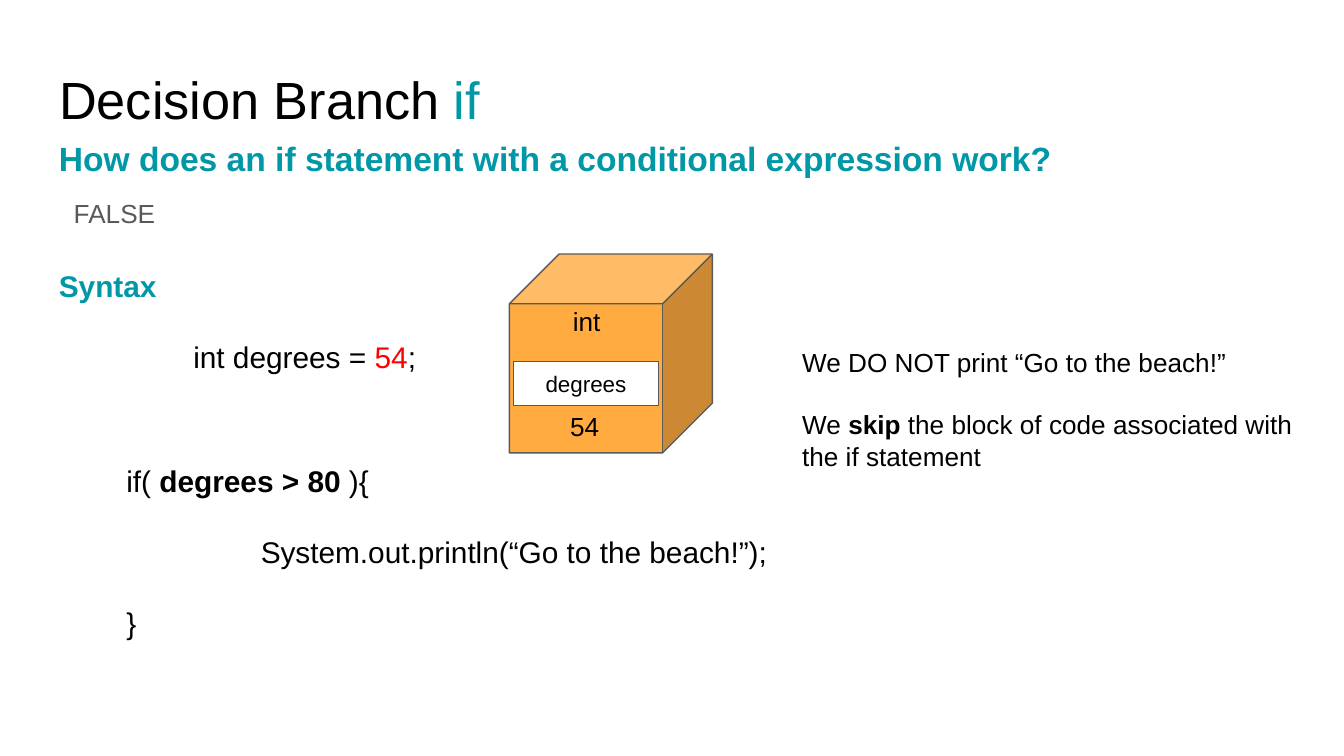
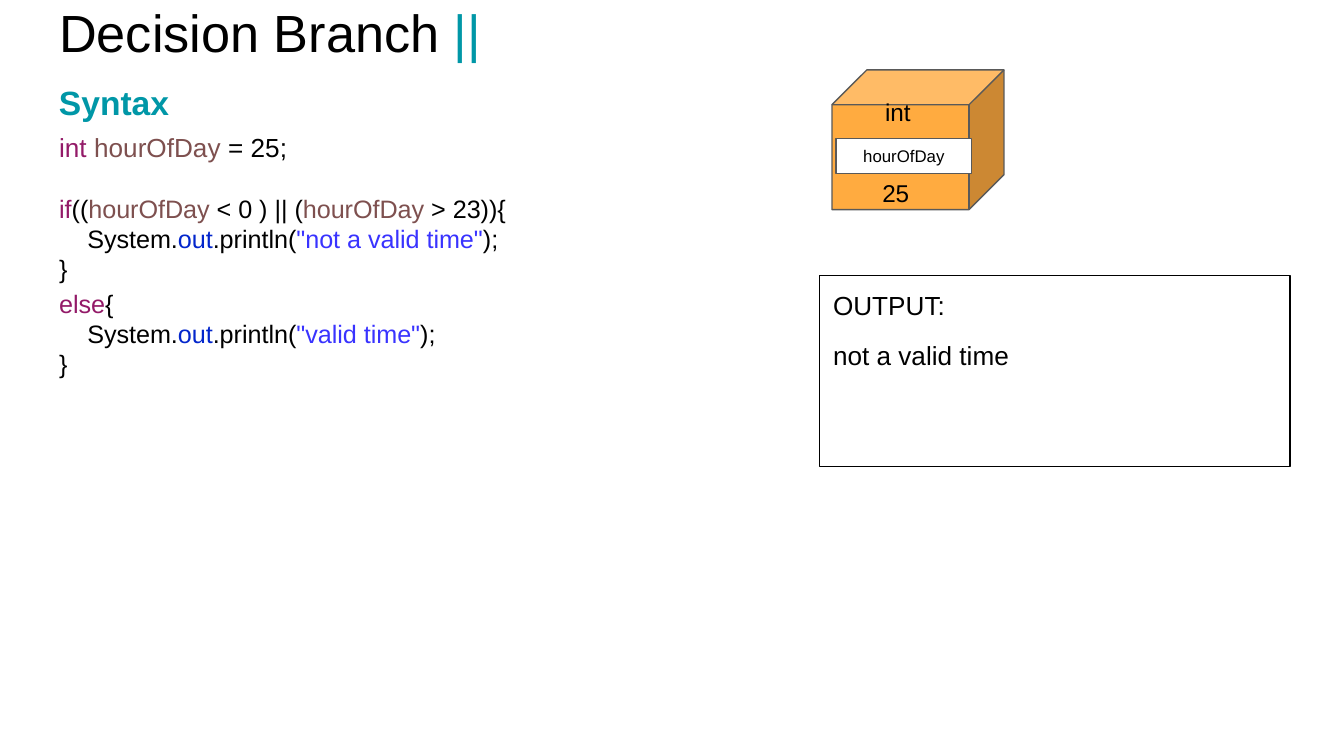
from dataclasses import dataclass
from pptx import Presentation
from pptx.dml.color import RGBColor
from pptx.enum.shapes import MSO_SHAPE
from pptx.enum.text import MSO_ANCHOR, MSO_AUTO_SIZE, PP_ALIGN
from pptx.util import Inches, Pt
from lxml.etree import SubElement
from pptx.oxml.ns import qn


@dataclass(frozen=True)
class Theme:
    font: str = "Arial"
    black: str = "000000"
    white: str = "FFFFFF"
    teal: str = "0097A7"
    grey: str = "595959"
    red: str = "FF0000"
    orange: str = "FFAB40"
    keyword: str = "931A68"
    variable: str = "7E504F"
    field: str = "0326CC"
    string: str = "3933FF"
    title: float = 28
    heading: float = 18
    code: float = 16
    text: float = 14
    small_code: float = 13.5
    small: float = 13
    line: float = 0.75


T = Theme()
prs = Presentation()
prs.slide_width, prs.slide_height = Inches(10), Inches(5.625)
CELL = prs.slide_width / 100
LEFT = 3.4


def place(sp, at, fill=None, line=None):
    sp.left, sp.top, sp.width, sp.height = [round(n * CELL) for n in at]
    if fill or line:
        sp.shadow.inherit = False
        sp.line.color.rgb = RGBColor.from_string(line)
        sp.line.width = Pt(T.line)
        if fill:
            sp.fill.solid()
            sp.fill.fore_color.rgb = RGBColor.from_string(fill)
        else:
            sp.fill.background()
    return sp


def write(sp, size, paragraphs, align=PP_ALIGN.LEFT, anchor=MSO_ANCHOR.TOP):
    tf = sp.text_frame
    tf.word_wrap = True
    tf.auto_size = MSO_AUTO_SIZE.NONE
    tf.vertical_anchor = anchor
    tf.margin_left = tf.margin_right = tf.margin_top = tf.margin_bottom = Inches(0.1)
    for i, (indent, before, spacing, runs) in enumerate(paragraphs):
        p = tf.paragraphs[0] if i == 0 else tf.add_paragraph()
        p.alignment = align
        pPr = p._p.get_or_add_pPr()
        pPr.set("marL", str(round(indent * CELL)))
        pPr.set("indent", "0")
        SubElement(pPr, qn("a:buNone"))
        p.space_before, p.space_after = Pt(before), Pt(0)
        p.line_spacing = spacing
        for text, color, *style in runs:
            r = p.add_run()
            r.text = text
            r.font.name = T.font
            r.font.size = Pt(style[1] if len(style) > 1 else size)
            r.font.bold = bool(style and style[0])
            r.font.color.rgb = RGBColor.from_string(color)


slides = []
for top, topic, body_at, body_size, body in [
    (4, "if", (LEFT, 33.4, 58, 21.9), T.code, [
        (5, 0, 1, [("if( ", T.black), ("degrees > 80", T.black, True), (" ){", T.black)]),
        (15, 19, 1, [("System.out.println(“Go to the beach!”);", T.black)]),
        (5, 19, 1, [("}", T.black)]),
    ]),
    (-1, "||", (LEFT, 8.8, 54.1, 45.8), T.small_code, [
        (0, 0, 1, [("int ", T.keyword, False, T.text), ("hourOfDay", T.variable, False, T.text),
                   (" = 25;", T.black, False, T.text)]),
        (0, 16, 1, [("if", T.keyword), ("((", T.black), ("hourOfDay", T.variable),
                    (" < 0 ) || (", T.black), ("hourOfDay", T.variable), (" > 23)){", T.black)]),
        (2.1, 0, 1, [("System.", T.black), ("out", T.field), (".println(", T.black),
                     ('"not a valid time"', T.string), (");", T.black)]),
        (0, 0, 1, [("}", T.black)]),
        (0, 0, 1.15, [("else", T.keyword), ("{", T.black)]),
        (2.1, 0, 1, [("System.", T.black), ("out", T.field), (".println(", T.black),
                     ('"valid time"', T.string), (");", T.black)]),
        (0, 0, 1, [("}", T.black)]),
    ]),
]:
    s = prs.slides.add_slide(prs.slide_layouts[1])
    write(place(s.shapes.title, (LEFT, top, 93.2, 6.3)), T.title,
          [(0, 0, 1, [("Decision Branch ", T.black), (topic, T.teal)])])
    write(place(s.placeholders[1], body_at), body_size, body)
    slides.append(s)

branch, either = slides

for s, at, size, paragraphs in [
    (branch, (LEFT, 9.3, 92.3, 6.3), T.heading, [
        (0, 0, 1, [("How does an if statement with a conditional expression work?", T.teal, True)])]),
    (branch, (4.5, 13.7, 31.9, 4.4), T.text, [(0, 0, 1, [("FALSE", T.grey)])]),
    (branch, (LEFT, 18.9, 33.4, 11.6), T.code, [
        (0, 0, 1, [("Syntax", T.teal, True)]),
        (10, 19, 1, [("int degrees = ", T.black), ("54", T.red), (";", T.black)])]),
    (branch, (58.7, 24.8, 39.7, 19.3), T.text, [
        (0, 0, 1, [("We DO NOT print “Go to the beach!”", T.black)]),
        (0, 16.5, 1, [("We ", T.black), ("skip", T.black, True),
                      (" the block of code associated with the if statement", T.black)])]),
    (either, (LEFT, 5.1, 54.1, 2.6), T.heading, [(0, 0, 1, [("Syntax", T.teal, True)])]),
]:
    write(place(s.shapes.add_textbox(0, 0, 0, 0), at), size, paragraphs)

output = place(either.shapes.add_shape(MSO_SHAPE.RECTANGLE, 0, 0, 0, 0),
               (61, 20.5, 35, 14.2), line=T.black)
write(output, T.text, [(0, 0, 1, [("OUTPUT:", T.black)]),
                       (0, 10, 1, [("not a valid time", T.black)])])

for s, cube_at, name, name_at, name_size, size, labels in [
    (branch, (37.9, 18.9, 15.1, 14.8), "degrees", (38.2, 26.9, 10.8, 3.3), 12, T.text,
     [("int", (38.8, 21.7, 9.7, 4.4)), ("54", (40.4, 29.5, 6.2, 3.2))]),
    (either, (61.9, 5.2, 12.8, 10.4), "hourOfDay", (62.2, 10.3, 10.1, 2.6), 9, T.small,
     [("int", (62.7, 6.2, 8.2, 3.6)), ("25", (64, 12.3, 5.3, 2.6))]),
]:
    place(s.shapes.add_shape(MSO_SHAPE.CUBE, 0, 0, 0, 0), cube_at, T.orange, T.grey)
    tag = place(s.shapes.add_shape(MSO_SHAPE.RECTANGLE, 0, 0, 0, 0), name_at, T.white, T.grey)
    write(tag, name_size, [(0, 0, 1, [(name, T.black)])], PP_ALIGN.CENTER, MSO_ANCHOR.MIDDLE)
    for label, at in labels:
        write(place(s.shapes.add_textbox(0, 0, 0, 0), at), size,
              [(0, 0, 1, [(label, T.black)])], PP_ALIGN.CENTER)

prs.save("out.pptx")
